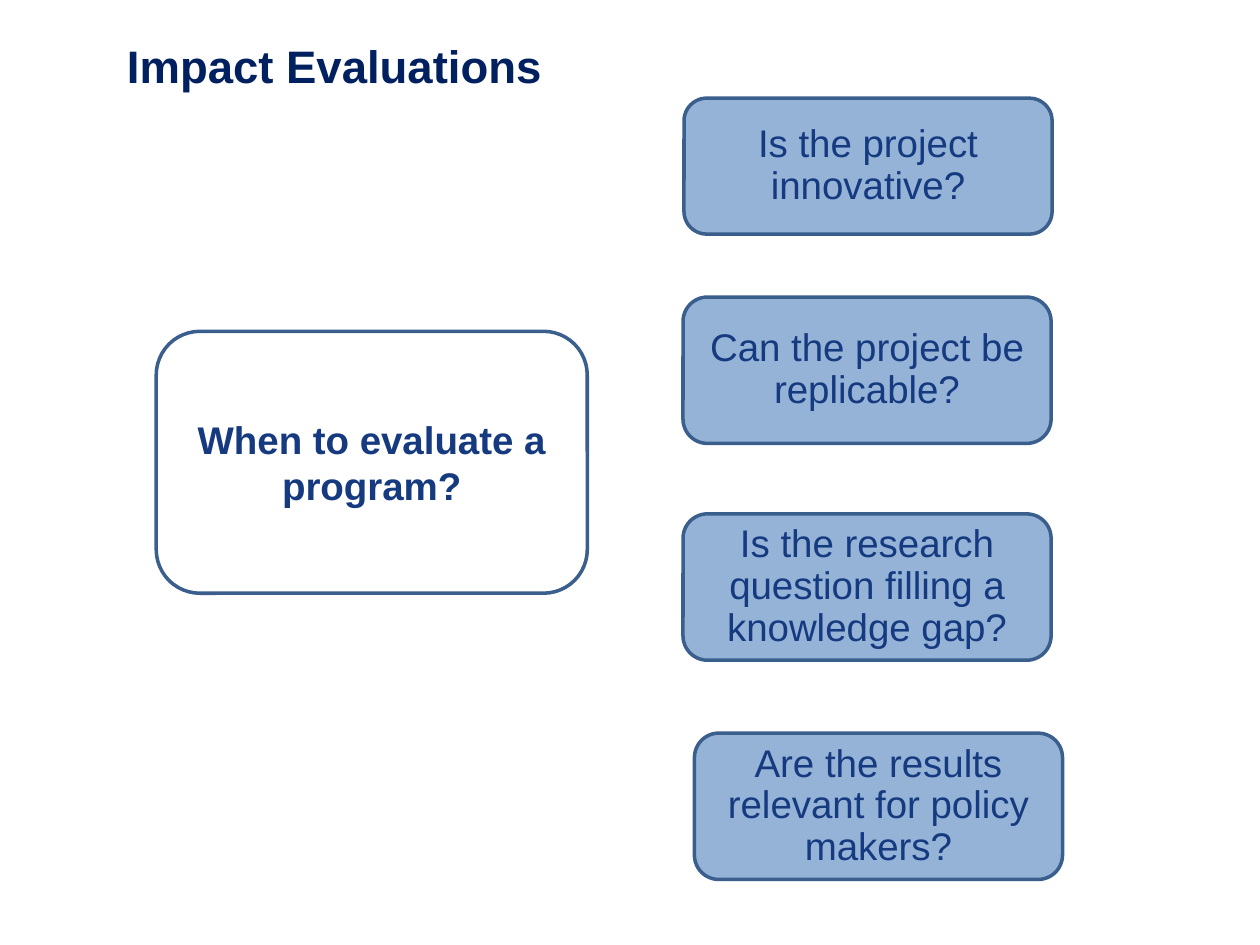
from pptx import Presentation
from pptx.dml.color import RGBColor
from pptx.enum.shapes import MSO_SHAPE
from pptx.enum.text import MSO_ANCHOR, PP_ALIGN
from pptx.util import Cm, Pt

NAVY = RGBColor(0x00, 0x20, 0x60)
TEXT_BLUE = RGBColor(0x15, 0x3A, 0x80)
OUTLINE_BLUE = RGBColor(0x3A, 0x5F, 0x8C)
LIGHT_BLUE = RGBColor(0x95, 0xB3, 0xD7)

QUESTION_WIDTH = 7.42
# left, top, height in centimetres, wording
QUESTIONS = [
    (13.79, 1.98, 2.74, "Is the project innovative?"),
    (13.77, 5.99, 2.95, "Can the project be replicable?"),
    (13.77, 10.36, 2.95, "Is the research question filling a knowledge gap?"),
    (14.0, 14.78, 2.95, "Are the results relevant for policy makers?"),
]


class SlideBuilder:
    """Holds the shared style and the slide being built; boxes are in centimetres."""

    font_name = "Arial"
    box_font_size = Pt(22)
    title_font_size = Pt(26)
    outline_width = Pt(2)

    def __init__(self, slide):
        self.slide = slide

    def style_text(self, shape, text, size, color, bold, line_spacing):
        """Set the text of a shape and return its paragraph."""
        text_frame = shape.text_frame
        text_frame.word_wrap = True
        text_frame.text = text
        paragraph = text_frame.paragraphs[0]
        paragraph.line_spacing = line_spacing
        for run in paragraph.runs:
            run.font.name = self.font_name
            run.font.size = size
            run.font.bold = bold
            run.font.color.rgb = color
        return paragraph

    def title(self, box, text):
        shape = self.slide.shapes.add_textbox(*map(Cm, box))
        self.style_text(shape, text, self.title_font_size, NAVY, True, 0.9)

    def rounded_box(self, box, text, fill=None, bold=False, line_spacing=0.9, space_before=10):
        shape = self.slide.shapes.add_shape(MSO_SHAPE.ROUNDED_RECTANGLE, *map(Cm, box))
        shape.shadow.inherit = False
        if fill is None:
            shape.fill.background()
        else:
            shape.fill.solid()
            shape.fill.fore_color.rgb = fill
        shape.line.color.rgb = OUTLINE_BLUE
        shape.line.width = self.outline_width
        shape.text_frame.vertical_anchor = MSO_ANCHOR.MIDDLE
        paragraph = self.style_text(shape, text, self.box_font_size, TEXT_BLUE, bold, line_spacing)
        paragraph.alignment = PP_ALIGN.CENTER
        paragraph.space_before = Pt(space_before)


def main():
    presentation = Presentation()
    presentation.slide_width = Cm(25.4)
    presentation.slide_height = Cm(19.05)
    builder = SlideBuilder(presentation.slides.add_slide(presentation.slide_layouts[6]))

    builder.title((2.31, 0.76, 21.89, 3.68), "Impact Evaluations")
    builder.rounded_box((3.15, 6.68, 8.69, 5.28), "When to evaluate a program?",
                        bold=True, line_spacing=1.0, space_before=4.4)
    for left, top, height, question in QUESTIONS:
        builder.rounded_box((left, top, QUESTION_WIDTH, height), question, fill=LIGHT_BLUE)

    presentation.save("out.pptx")


if __name__ == "__main__":
    main()
